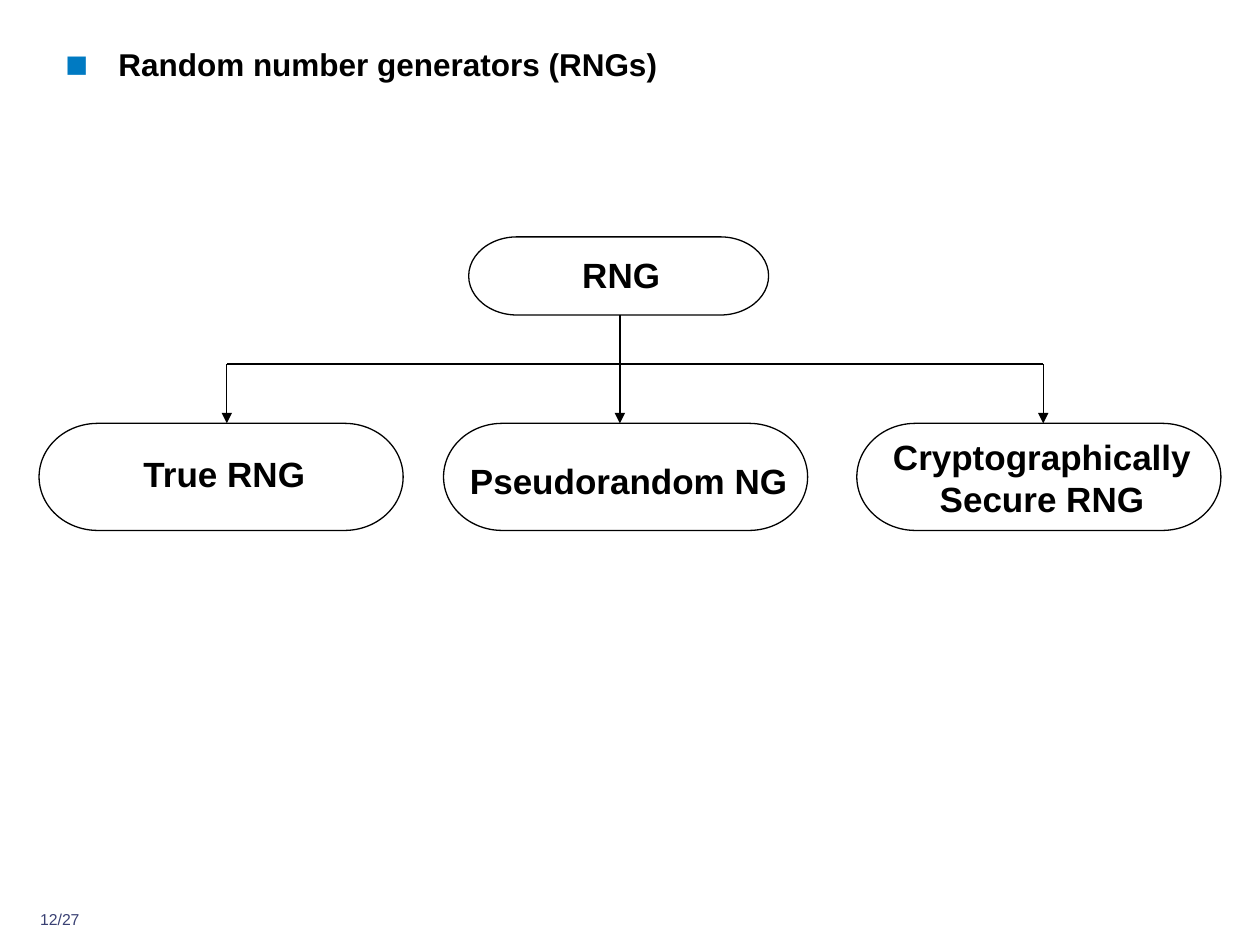
"""Build a slide that shows the three kinds of random number generator."""
from lxml.etree import SubElement
from pptx import Presentation
from pptx.dml.color import RGBColor
from pptx.enum.shapes import MSO_CONNECTOR, MSO_SHAPE
from pptx.enum.text import MSO_ANCHOR, PP_ALIGN
from pptx.oxml.ns import qn
from pptx.util import Inches, Pt

TITLE = "Random number generators (RNGs)"
PAGE = "12/27"
LABEL = {"size": Pt(20), "bold": True}
ROOT = ("RNG", (3.72, 1.88, 2.38, 0.62), (3.79, 2.01, 2.28, 0.34))
KINDS = [
    ("True RNG", 0.31, 3.59, 0.34),
    ("Pseudorandom NG", 3.52, 3.65, 0.34),
    ("Cryptographically Secure RNG", 6.8, 3.46, 0.68),
]
KIND_TOP, KIND_W, KIND_H = 3.36, 2.89, 0.85
STEM_TOP, BUS_Y = 2.5, 2.89
BRANCHES = [1.8, 4.92, 8.28]


def rgb(code):
    return RGBColor.from_string(code)


def add_text(s, text, box, font, color="000000", align=PP_ALIGN.CENTER, bullet=None):
    tf = s.shapes.add_textbox(*map(Inches, box)).text_frame
    frame = {"word_wrap": True, "vertical_anchor": MSO_ANCHOR.TOP, "margin_left": 0,
             "margin_right": 0, "margin_top": 0, "margin_bottom": 0}
    for name, value in frame.items():
        setattr(tf, name, value)
    p = tf.paragraphs[0]
    p.alignment = align
    if bullet:
        add_bullet(p, **bullet)
    r = p.add_run()
    r.text = text
    for name, value in {"name": "Arial", **font}.items():
        setattr(r.font, name, value)
    r.font.color.rgb = rgb(color)


def add_bullet(p, char, color, percent, indent):
    pPr = p._p.get_or_add_pPr()
    pPr.set("marL", str(Inches(indent)))
    pPr.set("indent", str(-Inches(indent)))
    SubElement(SubElement(pPr, qn("a:buClr")), qn("a:srgbClr"), val=color)
    SubElement(pPr, qn("a:buSzPct"), val=str(percent * 1000))
    SubElement(pPr, qn("a:buFont"), typeface="Arial")
    SubElement(pPr, qn("a:buChar"), char=char)


def add_node(s, text, box, label_box):
    sp = s.shapes.add_shape(MSO_SHAPE.FLOWCHART_TERMINATOR, *map(Inches, box))
    sp.shadow.inherit = False
    sp.fill.background()
    sp.line.color.rgb = rgb("000000")
    sp.line.width = Pt(0.75)
    add_text(s, text, label_box, LABEL)


def add_line(s, x1, y1, x2, y2, arrow=False):
    line = s.shapes.add_connector(MSO_CONNECTOR.STRAIGHT, *map(Inches, (x1, y1, x2, y2)))
    line.line.color.rgb = rgb("000000")
    line.line.width = Pt(0.75)
    if arrow:
        SubElement(line.line._get_or_add_ln(), qn("a:tailEnd"), type="triangle")
    SubElement(line._element.spPr, qn("a:effectLst"))


def main():
    prs = Presentation()
    prs.slide_width, prs.slide_height = Inches(10), Inches(7.5)
    s = prs.slides.add_slide(prs.slide_layouts[6])
    add_text(s, TITLE, (0.52, 0.36, 7.07, 0.56), {"size": Pt(18), "bold": True},
             align=PP_ALIGN.LEFT,
             bullet={"char": "■", "color": "007AC2", "percent": 120, "indent": 0.42})
    add_node(s, *ROOT)
    for text, left, label_top, label_h in KINDS:
        add_node(s, text, (left, KIND_TOP, KIND_W, KIND_H),
                 (left + 0.08, label_top, 2.78, label_h))
    add_line(s, BRANCHES[1], STEM_TOP, BRANCHES[1], BUS_Y)
    add_line(s, BRANCHES[0], BUS_Y, BRANCHES[-1], BUS_Y)
    for x in BRANCHES:
        add_line(s, x, BUS_Y, x, KIND_TOP, arrow=True)
    add_text(s, PAGE, (0.2, 7.22, 0.55, 0.24), {"size": Pt(9)}, "394073")
    prs.save("out.pptx")


if __name__ == "__main__":
    main()
